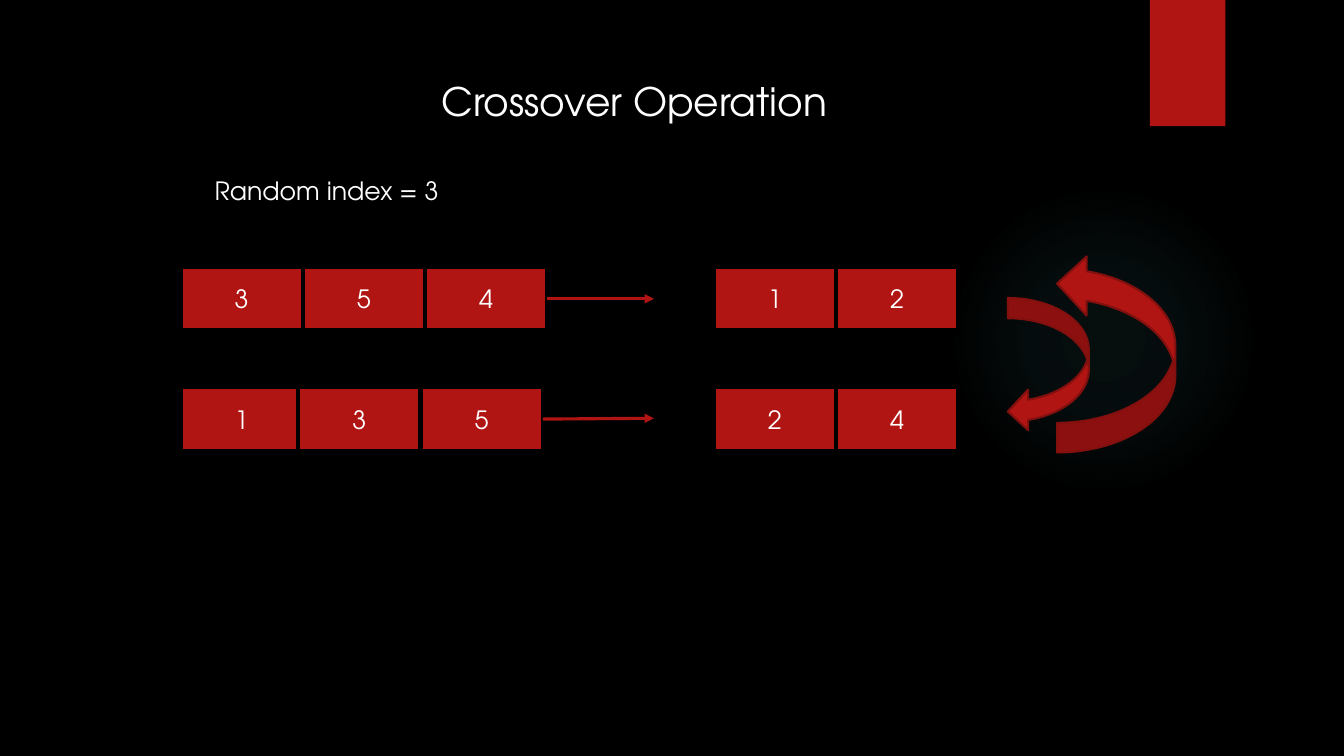
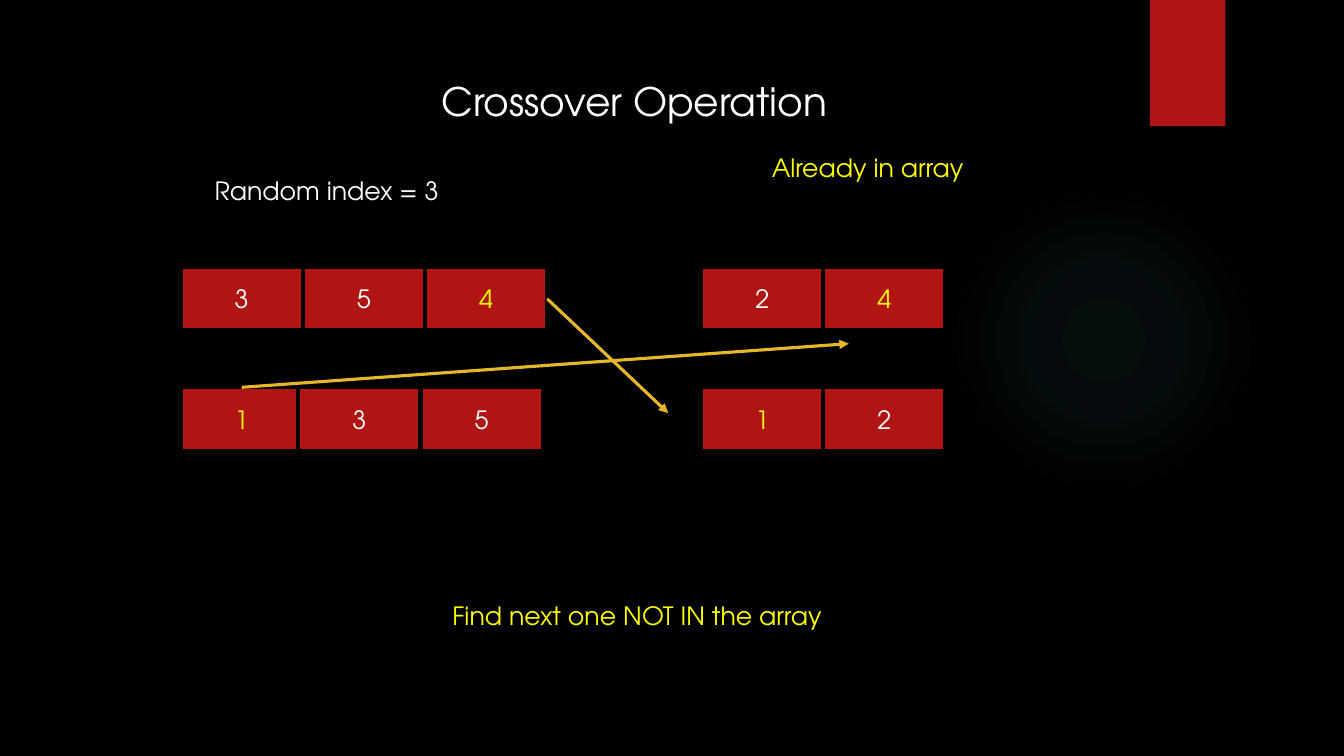
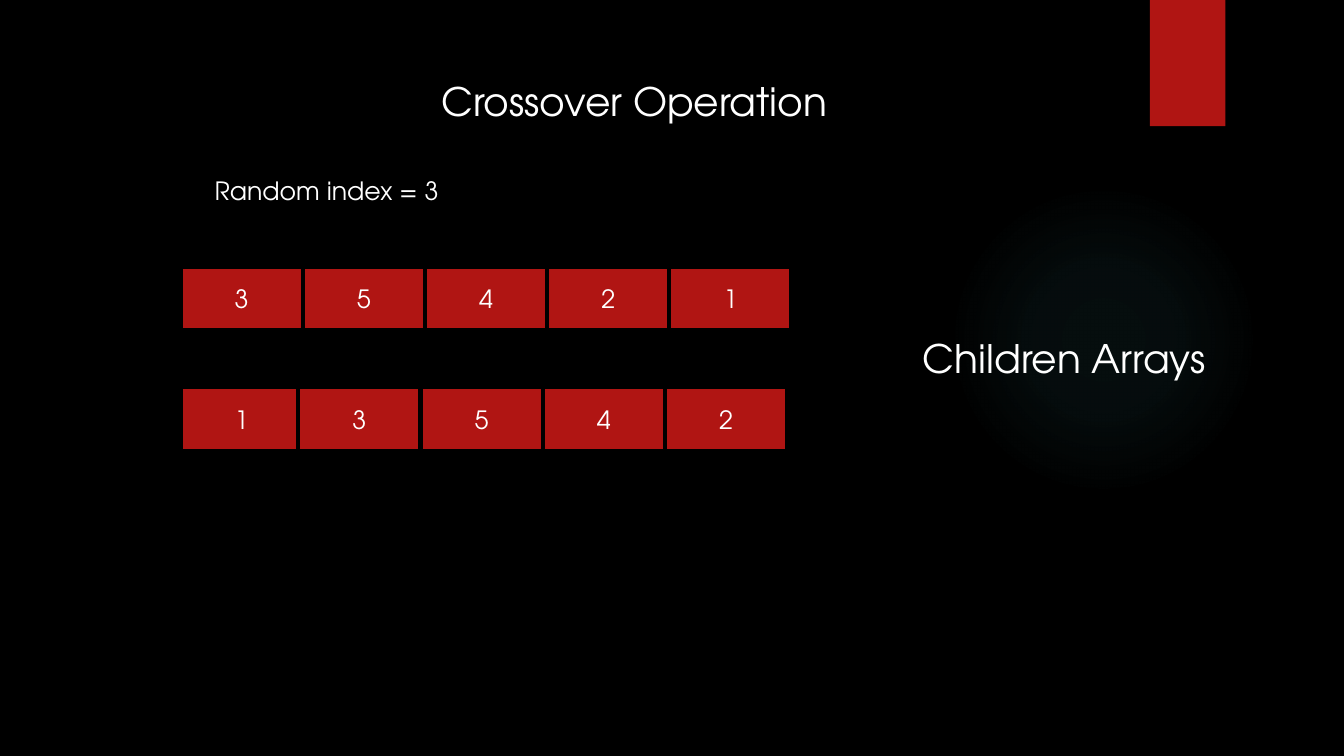
import lxml.etree
import pptx
import pptx.dml.color
import pptx.enum.shapes
import pptx.enum.text
import pptx.oxml.ns
import pptx.util

Cm = pptx.util.Cm
Pt = pptx.util.Pt
Preset = pptx.enum.shapes.MSO_SHAPE

BLACK, WHITE, YELLOW = "000000", "FFFFFF", "FFFF00"
RED, DARK_RED, GOLD, TEAL = "B01513", "82100E", "E6B729", "50B9C1"
FONT = "TeX Gyre Adventor"
TITLE_SIZE, BODY_SIZE = 28, 18
CELL_WIDTH, CELL_HEIGHT = 3.08, 1.6
LEFT, TAIL_START = 4.55, 7.52
TOP_ROW, BOTTOM_ROW = 6.73, 9.76


def color(hex_string):
    return pptx.dml.color.RGBColor.from_string(hex_string)


def qn(tag):
    return pptx.oxml.ns.qn(tag)


class Deck:
    def __init__(self):
        self.prs = pptx.Presentation()
        self.prs.slide_width = Cm(33.87)
        self.prs.slide_height = Cm(19.05)
        backdrop = self.prs.slide_master.background.fill
        backdrop.solid()
        backdrop.fore_color.rgb = color(BLACK)
        self.slide = None

    def new_slide(self):
        self.slide = self.prs.slides.add_slide(self.prs.slide_layouts[6])
        self.glow(23.9, 4.65, 7.82)
        self.shape(Preset.RECTANGLE, 28.98, 0, 1.9, 3.18)
        self.text("Crossover Operation", 10.87, 1.83, 11.05, TITLE_SIZE)
        self.text("Random index = 3", 5.16, 4.29, 6.15, wrap=False)

    def shape(self, preset, left, top, width, height, line=None, line_width=0):
        shape = self.slide.shapes.add_shape(preset, Cm(left), Cm(top), Cm(width), Cm(height))
        shape.shadow.inherit = False
        shape.fill.solid()
        shape.fill.fore_color.rgb = color(RED)
        if line:
            shape.line.color.rgb = color(line)
            shape.line.width = Pt(line_width)
        else:
            shape.line.fill.background()
        return shape

    def glow(self, left, top, diameter):
        halo = self.shape(Preset.OVAL, left, top, diameter, diameter)
        halo.fill.background()
        gradient = lxml.etree.Element(qn("a:gradFill"), rotWithShape="1")
        stops = lxml.etree.SubElement(gradient, qn("a:gsLst"))
        for position, opacity in ((0, 7), (36, 6), (69, 0)):
            stop = lxml.etree.SubElement(stops, qn("a:gs"), pos=str(position * 1000))
            tint = lxml.etree.SubElement(stop, qn("a:srgbClr"), val=TEAL)
            lxml.etree.SubElement(tint, qn("a:alpha"), val=str(opacity * 1000))
        circle = lxml.etree.SubElement(gradient, qn("a:path"), path="circle")
        lxml.etree.SubElement(circle, qn("a:fillToRect"), l="50000", t="50000", r="50000", b="50000")
        properties = halo._element.spPr
        properties.replace(properties.find(qn("a:noFill")), gradient)

    def style(self, paragraph, size, hex_string):
        for run in paragraph.runs:
            run.font.name = FONT
            run.font.size = Pt(size)
            run.font.color.rgb = color(hex_string)

    def text(self, words, left, top, width, size=BODY_SIZE, hex_string=WHITE, wrap=True):
        height = 1.45 if size == TITLE_SIZE else 1.02
        frame = self.slide.shapes.add_textbox(Cm(left), Cm(top), Cm(width), Cm(height)).text_frame
        frame.text = words
        frame.word_wrap = wrap
        frame.auto_size = pptx.enum.text.MSO_AUTO_SIZE.SHAPE_TO_FIT_TEXT
        self.style(frame.paragraphs[0], size, hex_string)

    def genes(self, digits, left, top, marked=""):
        cells = []
        for index, digit in enumerate(digits):
            cell = self.shape(Preset.RECTANGLE, left + index * CELL_WIDTH, top,
                              CELL_WIDTH, CELL_HEIGHT, BLACK, 3)
            frame = cell.text_frame
            frame.text = digit
            frame.vertical_anchor = pptx.enum.text.MSO_ANCHOR.MIDDLE
            frame.paragraphs[0].alignment = pptx.enum.text.PP_ALIGN.CENTER
            self.style(frame.paragraphs[0], BODY_SIZE, YELLOW if digit in marked else WHITE)
            cells.append(cell)
        return cells

    def parents(self, marked_top="", marked_bottom=""):
        top = self.genes("354", LEFT, TOP_ROW, marked_top)
        bottom = self.genes("1", LEFT, BOTTOM_ROW, marked_bottom)
        bottom += self.genes("35", TAIL_START, BOTTOM_ROW)
        return top, bottom

    def arrow(self, cell, side, end_x, end_y, hex_string):
        arrow = self.slide.shapes.add_connector(
            pptx.enum.shapes.MSO_CONNECTOR.STRAIGHT, 0, 0, Cm(end_x), Cm(end_y))
        arrow.begin_connect(cell, side)
        arrow.line.color.rgb = color(hex_string)
        arrow.line.width = Pt(2.25)
        lxml.etree.SubElement(arrow.line._get_or_add_ln(), qn("a:tailEnd"), type="triangle")
        lxml.etree.SubElement(arrow._element.spPr, qn("a:effectLst"))


def swap_slide(deck):
    deck.new_slide()
    top, bottom = deck.parents()
    deck.genes("12", 17.99, TOP_ROW)
    deck.genes("24", 17.99, BOTTOM_ROW)
    deck.arrow(top[-1], 3, 16.48, 7.53, RED)
    deck.arrow(bottom[-1], 3, 16.48, 10.54, RED)
    deck.shape(Preset.CURVED_LEFT_ARROW, 25.4, 7.51, 2.04, 3.37, DARK_RED, 1.5)
    swap = deck.shape(Preset.CURVED_RIGHT_ARROW, 26.64, 6.4, 2.98, 5, DARK_RED, 1.5)
    swap.rotation = 180


def conflict_slide(deck):
    deck.new_slide()
    top, bottom = deck.parents("4", "1")
    deck.genes("24", 17.67, TOP_ROW, "4")
    deck.genes("12", 17.67, BOTTOM_ROW, "1")
    deck.text("Already in array", 19.2, 3.71, 5.44, hex_string=YELLOW, wrap=False)
    deck.text("Find next one NOT IN the array", 11.15, 15.01, 9.98, hex_string=YELLOW, wrap=False)
    deck.arrow(top[-1], 3, 16.84, 10.41, GOLD)
    deck.arrow(bottom[0], 0, 21.39, 8.66, GOLD)


def children_slide(deck):
    deck.new_slide()
    deck.genes("35421", LEFT, TOP_ROW)
    deck.genes("1", LEFT, BOTTOM_ROW)
    deck.genes("3542", TAIL_START, BOTTOM_ROW)
    deck.text("Children Arrays", 23.01, 8.31, 8.81, TITLE_SIZE)


def main():
    deck = Deck()
    swap_slide(deck)
    conflict_slide(deck)
    children_slide(deck)
    deck.prs.save("out.pptx")


if __name__ == "__main__":
    main()
